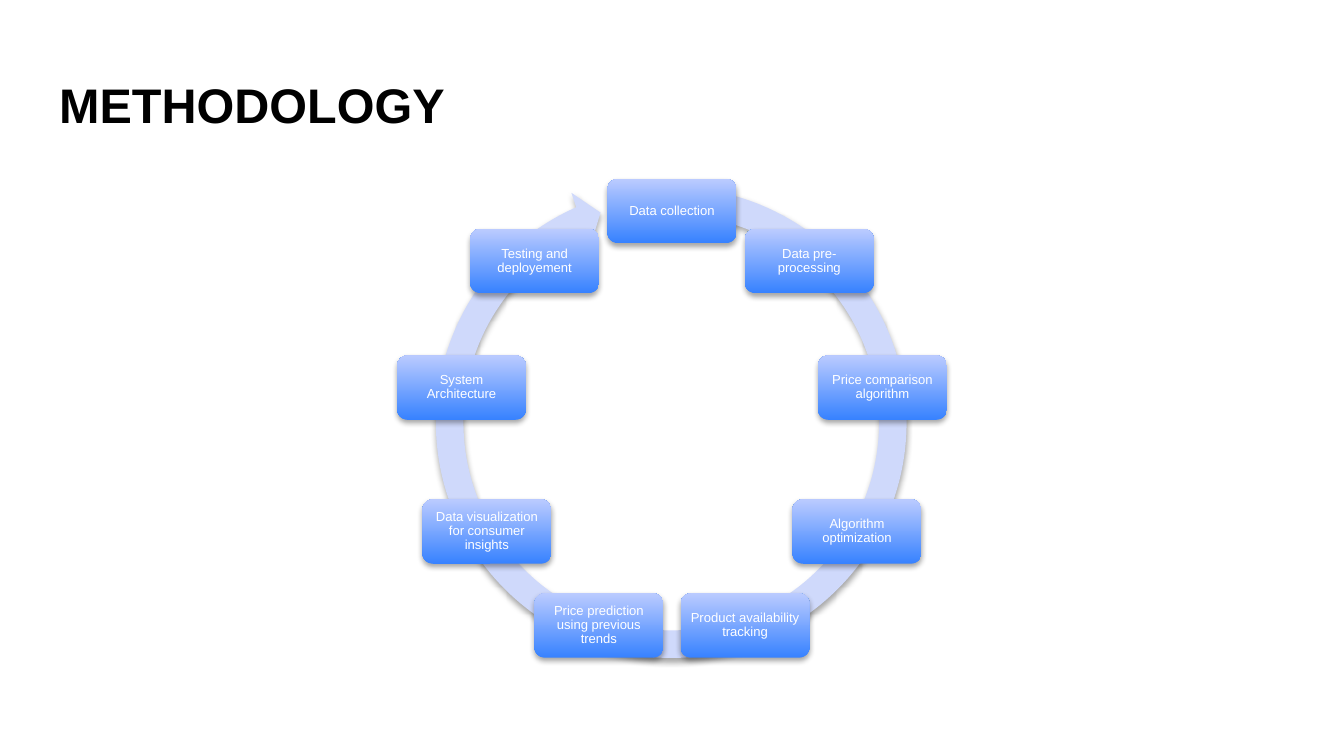
from math import cos, radians, sin

from lxml.etree import SubElement
from pptx import Presentation
from pptx.dml.color import RGBColor
from pptx.enum.shapes import MSO_SHAPE
from pptx.enum.text import MSO_ANCHOR, MSO_AUTO_SIZE, PP_ALIGN
from pptx.oxml.ns import qn
from pptx.util import Inches, Pt

# Content: the steps run clockwise from the top
TITLE = "METHODOLOGY"
STEPS = [
    "Data collection",
    "Data pre-processing",
    "Price comparison algorithm",
    "Algorithm optimization",
    "Product availability tracking",
    "Price prediction using previous trends",
    "Data visualization for consumer insights",
    "System Architecture",
    "Testing and deployement",
]

THEME = {
    "font": "Arial",
    "title": (26, "000000"),
    "step": (7, "FFFFFF"),
    "ring": "CFD9FB",
    "fade": ("3782FF", "BBCBFF"),
    "shade": "000000",
}

# Geometry in inches
WIDTH = 10
HEIGHT = WIDTH * 9 / 16
MID_X, MID_Y, RADIUS = 5, 3.16, 1.59
BOX_W, BOX_H = 0.96, 0.48
RING = (3.13, 1.28, 3.73, 3.73)
BEND = (0.055, 3.307, 147.525, 168.159, 0.058)


def place(left, top, width, height):
    return [Inches(n) for n in (left, top, width, height)]


def write(shape, text, style, inset, align, bold=False):
    size, color = style
    frame = shape.text_frame
    frame.text = text
    frame.word_wrap = True
    frame.auto_size = MSO_AUTO_SIZE.NONE
    frame.vertical_anchor = MSO_ANCHOR.MIDDLE
    frame.margin_left = frame.margin_right = Inches(inset)
    frame.margin_top = frame.margin_bottom = Inches(inset)
    para = frame.paragraphs[0]
    para.alignment = align
    para.line_spacing = 0.9
    font = para.runs[0].font
    font.name, font.size, font.bold = THEME["font"], Pt(size), bold
    font.color.rgb = RGBColor.from_string(color)


def shade(shape):
    """Cast a soft shadow straight down."""
    shape.shadow.inherit = False
    effects = shape._element.spPr.find(qn("a:effectLst"))
    drop = SubElement(effects, qn("a:outerShdw"), blurRad=str(Pt(3.1)),
                      dist=str(Pt(1.8)), dir="5400000", rotWithShape="0")
    color = SubElement(drop, qn("a:srgbClr"), val=THEME["shade"])
    SubElement(color, qn("a:alpha"), val="35000")


def add_ring(slide):
    ring = slide.shapes.add_shape(MSO_SHAPE.CIRCULAR_ARROW, *place(*RING))
    for i, value in enumerate(BEND):
        ring.adjustments[i] = value
    ring.fill.solid()
    ring.fill.fore_color.rgb = RGBColor.from_string(THEME["ring"])
    ring.line.fill.background()
    shade(ring)


def add_step(slide, text, angle):
    left = MID_X + RADIUS * sin(angle) - BOX_W / 2
    top = MID_Y - RADIUS * cos(angle) - BOX_H / 2
    box = slide.shapes.add_shape(MSO_SHAPE.ROUNDED_RECTANGLE,
                                 *place(left, top, BOX_W, BOX_H))
    box.fill.gradient()
    box.fill.gradient_angle = 90
    for i, color in enumerate(THEME["fade"]):
        stop = box.fill.gradient_stops[i]
        stop.color.rgb = RGBColor.from_string(color)
        stop.position = i
    box.line.fill.background()
    shade(box)
    write(box, text, THEME["step"], 0.05, PP_ALIGN.CENTER)


def main():
    deck = Presentation()
    deck.slide_width, deck.slide_height = Inches(WIDTH), Inches(HEIGHT)
    slide = deck.slides.add_slide(deck.slide_layouts[5])

    # Title
    title = slide.shapes.title
    title.left, title.top, title.width, title.height = place(0.34, 0.49, 9.32, 0.63)
    write(title, TITLE, THEME["title"], 0.1, PP_ALIGN.LEFT, bold=True)

    # Cycle: ring behind, steps spread evenly around it
    add_ring(slide)
    for i, text in enumerate(STEPS):
        add_step(slide, text, radians(360 * i / len(STEPS)))

    deck.save("out.pptx")


if __name__ == "__main__":
    main()
